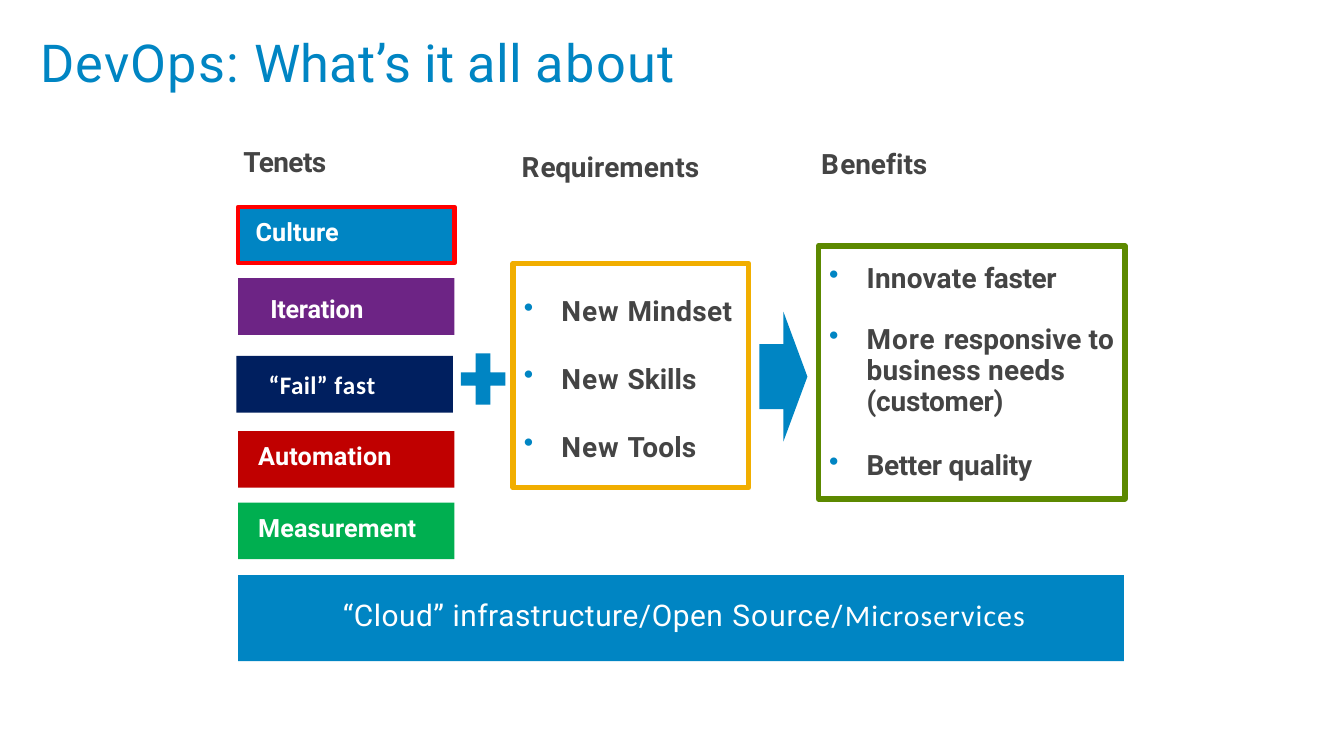
from pptx import Presentation
from pptx.dml.color import RGBColor
from pptx.enum.shapes import MSO_SHAPE
from pptx.enum.text import MSO_ANCHOR, PP_ALIGN
from pptx.oxml.ns import qn
from pptx.util import Cm, Pt
from lxml.etree import SubElement

BLUE, GRAY, WHITE = "0085C3", "444444", "FFFFFF"
FONT, ALT = "Roboto", "Calibri"

TITLE = [("DevOps: ", 0.6), ("What’s ", 0.2), ("it ", 0), ("all ", 0.2), ("about", 0.8)]
HEADS = [
    (4.57, 2.74, 1.7, [("Tenets", -0.3)]),
    (9.83, 2.82, 3.53, [("R", 0.5), ("equ", -0.1), ("i", -0.2), ("r", -0.3),
                        ("e", -0.6), ("me", 0.1), ("n", 0.3), ("ts", 0)]),
    (15.49, 2.77, 2.08, [("B", 0.7), ("en", -0.1), ("e", -0.2), ("f", -0.5),
                         ("i", -0.6), ("ts", 0)]),
]
TENETS = [
    (4.5, 3.91, BLUE, "FF0000", FONT, (0.33, 0.18), [("Culture", 0.1)]),
    (4.5, 5.26, "6D2485", None, FONT, (0.61, 0.28), [("Iteration", -0.1)]),
    (4.47, 6.73, "001F5F", None, ALT, (0.61, 0.25), [("“Fail” ", 0.2), ("fast", 0.5)]),
    (4.5, 8.15, "C00000", None, FONT, (0.38, 0.18), [("Automation", 0.1)]),
    (4.5, 9.5, "00AF50", None, FONT, (0.38, 0.18), [("Measurement", 0.1)]),
]
LISTS = [
    ((9.7, 4.98, 4.45, 4.24), "F1AE00", 0.57, 18.3, [
        [("New ", 0.5), ("Mindset", 0.2)],
        [("New ", 0.5), ("Skills", 0)],
        [("New ", 0.5), ("Tools", 0.1)],
    ]),
    ((15.47, 4.65, 5.79, 4.78), "5C8900", 0.28, 16, [
        [("Innovate ", 0.1), ("faster", -0.2)],
        [("More ", 0.5), ("responsive ", 0), ("to ", 0.3),
         ("business needs ", 0.1), ("(customer)", -0.1)],
        [("Better ", -0.2), ("quality", -0.1)],
    ]),
]
BASE = [("“Cloud” infrastructure/Open ", 0.3), ("Source/", 0.6)]
BASE_END = [("Microservices", 0.6)]
PLUS_X = (8.71, 8.99, 9.27, 9.55)
PLUS_Y = (6.68, 7.04, 7.29, 7.65)


def color(code):
    return RGBColor.from_string(code)


def paint(shape, fill=None, line=None, width=3):
    shape.shadow.inherit = False
    if fill:
        shape.fill.solid()
        shape.fill.fore_color.rgb = color(fill)
    else:
        shape.fill.background()
    if line:
        shape.line.color.rgb = color(line)
        shape.line.width = Pt(width)
    else:
        shape.line.fill.background()
    return shape


def block(kind, spot, fill=None, line=None, width=3):
    shape = slide.shapes.add_shape(kind, *map(Cm, spot))
    return paint(shape, fill, line, width)


def frame(shape, left=0, top=0, wrap=True):
    text = shape.text_frame
    text.margin_left, text.margin_top = Cm(left), Cm(top)
    text.margin_right = text.margin_bottom = 0
    text.vertical_anchor = MSO_ANCHOR.TOP
    text.word_wrap = wrap
    text.paragraphs[0].alignment = PP_ALIGN.LEFT
    return text


def write(para, runs, size, tone, bold=False, face=FONT):
    for words, gap in runs:
        run = para.add_run()
        run.text = words
        font = run.font
        font.name, font.size, font.bold = face, Pt(size), bold
        font.color.rgb = color(tone)
        run._r.get_or_add_rPr().set("spc", str(round(gap * 100)))


def bullet(para):
    props = para._p.get_or_add_pPr()
    props.set("marL", str(Cm(0.91)))
    props.set("indent", str(Cm(-0.71)))
    SubElement(SubElement(props, qn("a:buClr")), qn("a:srgbClr")).set("val", BLUE)
    SubElement(props, qn("a:buChar")).set("char", "•")


def label(spot, runs, size, tone, bold):
    box = slide.shapes.add_textbox(*map(Cm, spot))
    write(frame(box, 0.03, wrap=False).paragraphs[0], runs, size, tone, bold)


deck = Presentation()
deck.slide_width, deck.slide_height = Cm(25.4), Cm(14.29)
slide = deck.slides.add_slide(deck.slide_layouts[6])

label((0.74, 0.58, 12.17, 1.24), TITLE, 28, BLUE, False)
for left, top, wide, runs in HEADS:
    label((left, top, wide, 0.69), runs, 15, GRAY, True)

for left, top, fill, line, face, inset, runs in TENETS:
    box = block(MSO_SHAPE.RECTANGLE, (left, top, 4.09, 1.07), fill, line, 2.28)
    write(frame(box, *inset).paragraphs[0], runs, 13.5, WHITE, True, face)

for spot, line, inset, gap, items in LISTS:
    text = frame(block(MSO_SHAPE.RECTANGLE, spot, line=line), top=inset)
    for rank, runs in enumerate(items):
        para = text.add_paragraph() if rank else text.paragraphs[0]
        para.alignment = PP_ALIGN.LEFT
        if rank:
            para.space_before = Pt(gap)
        if len(runs) > 2:
            para.line_spacing = 0.93
        bullet(para)
        write(para, runs, 15, GRAY, True)

block(MSO_SHAPE.RIGHT_ARROW, (14.35, 5.89, 0.91, 2.46), BLUE)

turns = [(1, 0), (2, 0), (2, 1), (3, 1), (3, 2), (2, 2),
         (2, 3), (1, 3), (1, 2), (0, 2), (0, 1), (1, 1)]
points = [(Cm(PLUS_X[col]), Cm(PLUS_Y[row])) for col, row in turns]
path = slide.shapes.build_freeform(*points[0])
path.add_line_segments(points[1:], close=True)
paint(path.convert_to_shape(), BLUE)

base = block(MSO_SHAPE.RECTANGLE, (4.5, 10.87, 16.74, 1.63), BLUE)
para = frame(base, 1.98, 0.41).paragraphs[0]
write(para, BASE, 16, WHITE)
write(para, BASE_END, 16, WHITE, face=ALT)

deck.save("out.pptx")
